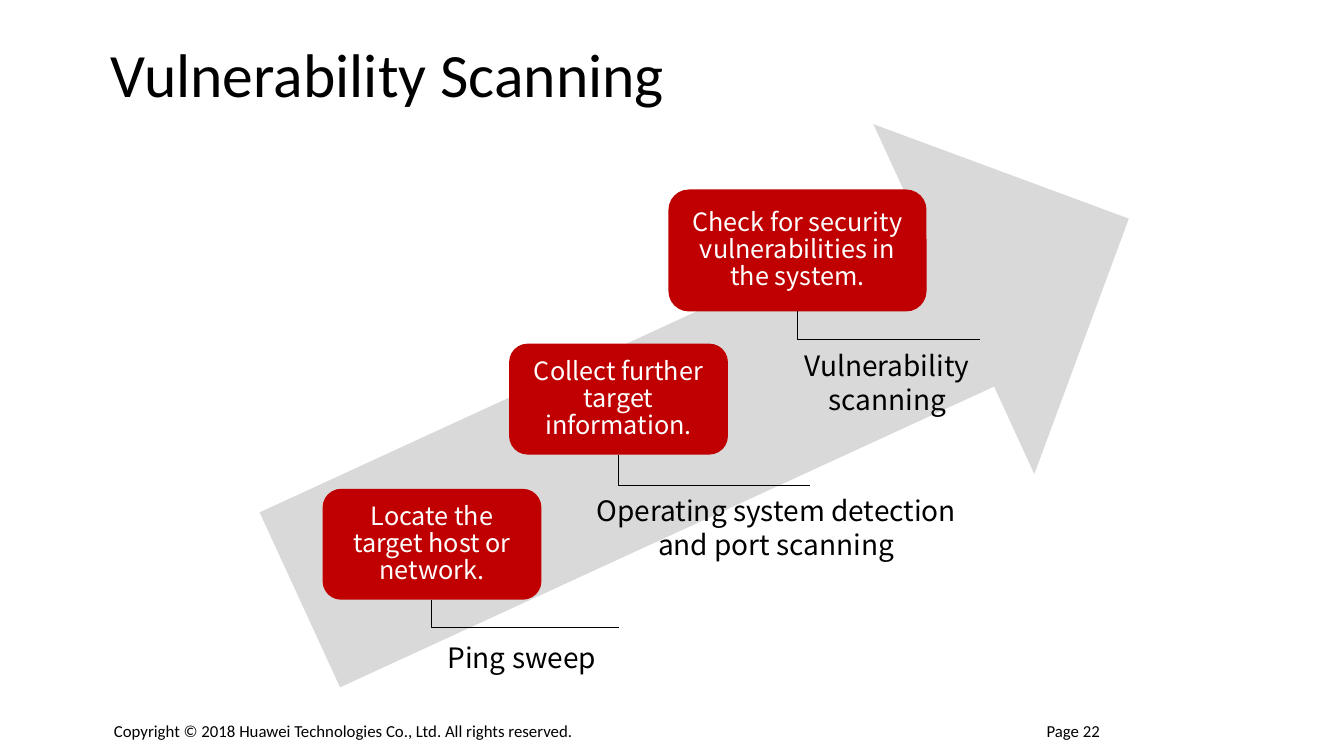
from dataclasses import dataclass
from lxml.etree import SubElement
from pptx import Presentation
from pptx.dml.color import RGBColor
from pptx.enum.shapes import MSO_CONNECTOR, MSO_SHAPE
from pptx.enum.text import MSO_ANCHOR, PP_ALIGN
from pptx.oxml.ns import qn
from pptx.util import Inches, Pt


@dataclass(frozen=True)
class Theme:
    black: RGBColor = RGBColor(0, 0, 0)
    white: RGBColor = RGBColor(255, 255, 255)
    red: RGBColor = RGBColor(192, 0, 0)
    gray: RGBColor = RGBColor(217, 217, 217)
    plain: str = "Calibri"
    sans: str = "Noto Sans CJK SC"
    title: Pt = Pt(44)
    label: Pt = Pt(20)
    step: Pt = Pt(18)
    foot: Pt = Pt(12)
    rule: Pt = Pt(0.75)


THEME = Theme()

STEPS = [
    ("Locate the target host or network.", (3.2, 4.85, 2.17, 1.1), (6.14, 6.23),
     "Ping sweep", (4.22, 6.3, 1.91, 0.45)),
    ("Collect further target information.", (5.05, 3.41, 2.17, 1.1), (8.03, 4.82),
     "Operating system detection and port scanning", (5.68, 4.85, 4.04, 0.78)),
    ("Check for security vulnerabilities in the system.", (6.63, 1.88, 2.56, 1.21), (9.72, 3.37),
     "Vulnerability scanning", (7.41, 3.41, 2.78, 0.45)),
]

FOOTER = [
    ("Copyright © 2018 Huawei Technologies Co., Ltd. All rights reserved.", (1.04, 7.11, 5.27, 0.29)),
    ("Page 22", (10.29, 7.11, 0.84, 0.29)),
]


def apply(item, values):
    for name, value in values.items():
        setattr(item, name, value)


def write(shape, text, font, frame=None, para=None):
    body = shape.text_frame
    apply(body, {"word_wrap": True, **(frame or {})})
    line = body.paragraphs[0]
    line.text = text
    apply(line, para or {})
    style = dict(font)
    line.font.color.rgb = style.pop("color")
    apply(line.font, style)


def add_text(slide, text, place, font, frame=None, para=None):
    box = slide.shapes.add_textbox(*map(Inches, place))
    write(box, text, font, frame, para)


def add_block(slide, kind, place, color):
    block = slide.shapes.add_shape(kind, *map(Inches, place))
    block.shadow.inherit = False
    block.fill.solid()
    block.fill.fore_color.rgb = color
    block.line.fill.background()
    return block


def add_elbow(slide, start, end):
    elbow = slide.shapes.add_connector(MSO_CONNECTOR.ELBOW, *map(Inches, (*end, *start)))
    elbow.line.color.rgb = THEME.black
    elbow.line.width = THEME.rule
    props = elbow._element.spPr
    props.find(qn("a:prstGeom")).set("prst", "bentConnector2")
    SubElement(props, qn("a:effectLst"))


def add_step(slide, text, place, end, label, spot):
    left, top, width, height = place
    block = add_block(slide, MSO_SHAPE.ROUNDED_RECTANGLE, place, THEME.red)
    write(block, text,
          {"name": THEME.sans, "size": THEME.step, "color": THEME.white},
          {"vertical_anchor": MSO_ANCHOR.MIDDLE},
          {"alignment": PP_ALIGN.CENTER, "line_spacing": 0.9})
    add_elbow(slide, (left + width / 2, top + height), end)
    add_text(slide, label, spot,
             {"name": THEME.sans, "size": THEME.label, "color": THEME.black},
             para={"alignment": PP_ALIGN.CENTER})


def main():
    deck = Presentation()
    apply(deck, {"slide_width": Inches(13.33), "slide_height": Inches(7.5)})
    slide = deck.slides.add_slide(deck.slide_layouts[6])
    plain = {"name": THEME.plain, "color": THEME.black}
    side, edge = Inches(0.09), Inches(0.04)
    tight = {"word_wrap": False, "margin_left": side, "margin_right": side,
             "margin_top": edge, "margin_bottom": edge}

    for text, place in FOOTER:
        add_text(slide, text, place, {**plain, "size": THEME.foot}, tight)
    add_text(slide, "Vulnerability Scanning", (1, 0.29, 11.55, 0.95),
             {**plain, "size": THEME.title},
             {"vertical_anchor": MSO_ANCHOR.MIDDLE}, {"line_spacing": 0.9})
    arrow = add_block(slide, MSO_SHAPE.RIGHT_ARROW, (2.56, 2.15, 9.05, 3.82), THEME.gray)
    arrow.rotation = 335.3
    for step in STEPS:
        add_step(slide, *step)
    deck.save("out.pptx")


if __name__ == "__main__":
    main()
